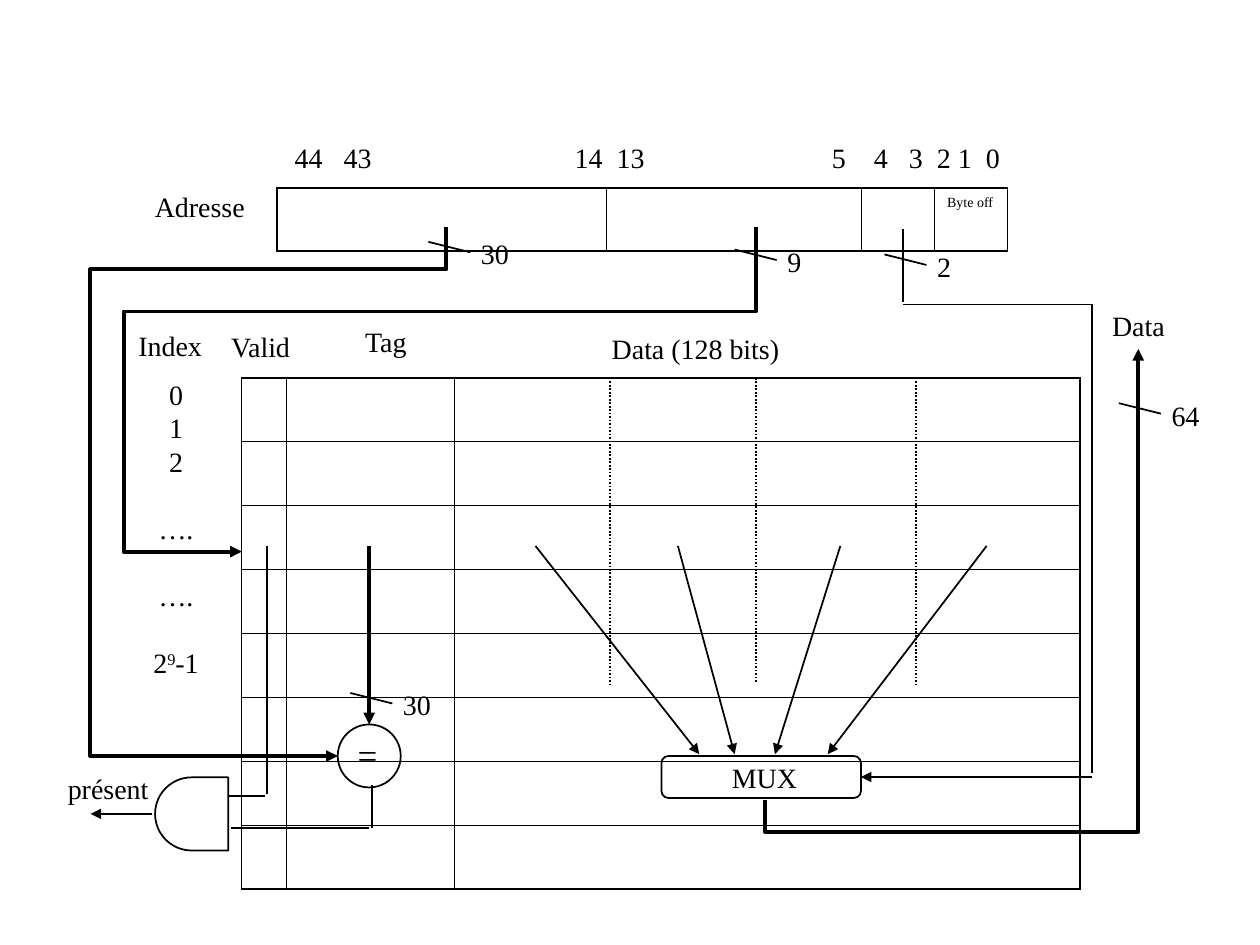
from dataclasses import dataclass

from lxml.etree import SubElement
from pptx import Presentation
from pptx.dml.color import RGBColor
from pptx.enum.dml import MSO_LINE
from pptx.enum.shapes import MSO_CONNECTOR, MSO_SHAPE
from pptx.enum.text import MSO_ANCHOR, MSO_AUTO_SIZE, PP_ALIGN
from pptx.oxml.ns import qn
from pptx.util import Pt


@dataclass(frozen=True)
class Theme:
    ink: str = "000000"
    font: str = "Times New Roman"
    label: float = 16
    symbol: float = 20
    small: float = 8
    thin: float = 1
    bus: float = 2.25
    frame: float = 1.08
    grid: float = 0.45


THEME = Theme()
INK = RGBColor.from_string(THEME.ink)
LABEL_H = 26.4


def set_values(obj, values):
    for name, value in values.items():
        setattr(obj, name, value)


# Text
def add_run(p, text, size=THEME.label):
    r = p.add_run()
    r.text = text
    set_values(r.font, {"name": THEME.font, "size": Pt(size)})
    r.font.color.rgb = INK
    return r


def add_box(s, x, y, w, h=LABEL_H):
    sp = s.shapes.add_textbox(Pt(x), Pt(y), Pt(w), Pt(h))
    set_values(sp.text_frame, {"word_wrap": False,
                               "auto_size": MSO_AUTO_SIZE.SHAPE_TO_FIT_TEXT})
    return sp.text_frame


def add_label(s, text, x, y, w, h=LABEL_H, size=THEME.label):
    add_run(add_box(s, x, y, w, h).paragraphs[0], text, size)


def add_bit_numbers(s):
    p = add_box(s, 161.3, 76.6, 424).paragraphs[0]
    tabs = SubElement(p._p.get_or_add_pPr(), qn("a:tabLst"))
    for stop in (28, 160, 184, 307, 331, 351, 367, 379, 395):
        SubElement(tabs, qn("a:tab"), pos=str(Pt(stop)), algn="l")
    add_run(p, "\t".join("44 43 14 13 5 4 3 2 1 0".split()))


def add_index_column(s):
    tf = add_box(s, 79.6, 212, 42, 180)
    gap = 19.2
    rows = [("0", 0), ("1", 0), ("2", 0), ("….", gap), ("….", gap), ("2", gap)]
    for i, (text, before) in enumerate(rows):
        p = tf.add_paragraph() if i else tf.paragraphs[0]
        set_values(p, {"alignment": PP_ALIGN.CENTER, "space_before": Pt(before)})
        add_run(p, text)
    add_run(p, "9").font._element.set("baseline", "30000")
    add_run(p, "-1")


# Tables
def set_borders(cell, widths):
    tcPr = cell._tc.get_or_add_tcPr()
    for i, (side, width) in enumerate(zip("LRTB", widths)):
        ln = SubElement(tcPr, qn(f"a:ln{side}"), w=str(Pt(width)))
        fill = SubElement(ln, qn("a:solidFill"))
        SubElement(fill, qn("a:srgbClr"), val=THEME.ink)
        tcPr.insert(i, ln)


def add_grid(s, x, y, cols, n_rows, row_h):
    frame = s.shapes.add_table(n_rows, len(cols), Pt(x), Pt(y),
                               Pt(sum(cols)), Pt(n_rows * row_h))
    table = frame.table
    set_values(table, {"first_row": False, "horz_banding": False})
    for col, width in zip(table.columns, cols):
        col.width = Pt(width)
    for i, row in enumerate(table.rows):
        row.height = Pt(row_h)
        for j, cell in enumerate(row.cells):
            cell.fill.background()
            cell.vertical_anchor = MSO_ANCHOR.TOP
            edges = (j == 0, j == len(cols) - 1, i == 0, i == n_rows - 1)
            set_borders(cell, [THEME.frame if e else THEME.grid for e in edges])
    return table


# Shapes and lines
def add_outline(s, kind, x, y, w, h):
    sp = s.shapes.add_shape(kind, Pt(x), Pt(y), Pt(w), Pt(h))
    sp.shadow.inherit = False
    sp.fill.background()
    sp.line.color.rgb = INK
    sp.line.width = Pt(THEME.thin)
    return sp


def style_line(sp, width, arrow):
    sp.line.color.rgb = INK
    sp.line.width = Pt(width)
    if arrow:
        SubElement(sp.line._get_or_add_ln(), qn("a:tailEnd"), type="triangle")
    SubElement(sp._element.spPr, qn("a:effectLst"))


def add_line(s, x1, y1, x2, y2, width=THEME.thin, arrow=False):
    sp = s.shapes.add_connector(MSO_CONNECTOR.STRAIGHT, Pt(x1), Pt(y1), Pt(x2), Pt(y2))
    style_line(sp, width, arrow)
    return sp


def add_bus(s, x1, y1, x2, y2, preset, adjusts, flips=()):
    """Elbow arrow that leaves its start vertically: a quarter-turned preset."""
    w, h = abs(y2 - y1), abs(x2 - x1)
    x, y = (x1 + x2 - w) / 2, (y1 + y2 - h) / 2
    sp = s.shapes.add_connector(MSO_CONNECTOR.ELBOW, Pt(x), Pt(y), Pt(x + w), Pt(y + h))
    spPr = sp._element.spPr
    spPr.xfrm.set("rot", "5400000")
    for flip in flips:
        spPr.xfrm.set(flip, "1")
    geom = spPr.find(qn("a:prstGeom"))
    geom.set("prst", preset)
    av = geom.find(qn("a:avLst"))
    if av is None:
        av = SubElement(geom, qn("a:avLst"))
    for i, value in enumerate(adjusts, 1):
        SubElement(av, qn("a:gd"), name=f"adj{i}", fmla=f"val {round(value * 100000)}")
    style_line(sp, THEME.bus, True)


def add_bus_width(s, bits, x, y, w=33):
    add_line(s, x, y, x + 24, y + 6)
    add_label(s, bits, x + 23, y - 6.4, w)


def main():
    prs = Presentation()
    prs.slide_width, prs.slide_height = Pt(720), Pt(540)
    s = prs.slides.add_slide(prs.slide_layouts[6])

    # Cache array with its headings
    add_grid(s, 138, 216, (25.9, 95.8, 357.5), 8, 36.5)
    for text, x, y, w in (("Valid", 125, 185, 53), ("Tag", 201.6, 182, 42),
                          ("Data (128 bits)", 342.5, 185.8, 114),
                          ("Index", 72, 184.3, 54), ("Adresse", 81.4, 104.8, 69),
                          ("Data", 628.4, 172.8, 48), ("présent", 31.7, 437.4, 64)):
        add_label(s, text, x, y, w)
    add_index_column(s)

    # Word boundaries inside the data column
    for x, y in ((348.5, 218), (432, 216), (523.4, 218)):
        add_line(s, x, y, x, y + 174.3).line.dash_style = MSO_LINE.ROUND_DOT

    # Address fields
    add_bit_numbers(s)
    fields = add_grid(s, 158.4, 107.5, (188, 145.8, 41.8, 41.8), 1, 36)
    add_run(fields.cell(0, 3).text_frame.paragraphs[0], "Byte off", THEME.small)

    # Tag comparison and presence signal
    comparator = add_outline(s, MSO_SHAPE.OVAL, 193, 414, 36, 36)
    add_label(s, "=", 197.3, 415.4, 28, 31.7, THEME.symbol)
    and_gate = add_outline(s, MSO_SHAPE.FLOWCHART_DELAY, 88.6, 444.2, 41.8, 41.8)
    and_gate._element.spPr.xfrm.set("flipH", "1")
    add_bus(s, 255, 129.8, 193, 432, "bentConnector4", (0.08, 3.28))
    add_line(s, 211, 312, 211, 414, THEME.bus, True).end_connect(comparator, 0)
    for points in ((131.8, 473, 211, 473), (212.4, 473, 212.4, 448.6),
                   (152.6, 312, 152.6, 453.6), (151.2, 455, 131, 455)):
        add_line(s, *points)
    add_line(s, 87.1, 465.1, 51.8, 465.1, arrow=True)

    # Row selection by index
    add_bus(s, 432, 129.8, 138.2, 315.2, "bentConnector4", (0.26, 1.23))

    # Word selection
    mux = add_outline(s, MSO_SHAPE.ROUNDED_RECTANGLE, 378, 432, 114, 24)
    add_label(s, "MUX", 411.1, 431, 55)
    for x1, x2 in ((306, 399.6), (387.4, 419.8), (480.2, 442.8), (563.8, 473)):
        add_line(s, x1, 312, x2, 431, arrow=True)
    for points in ((516.2, 131, 516.2, 172.8), (516.2, 174, 624.2, 174),
                   (624.2, 174, 624.2, 442)):
        add_line(s, *points)
    add_line(s, 624.2, 444, 492, 444, arrow=True).end_connect(mux, 3)
    add_bus(s, 437, 457.2, 650.5, 199.4, "bentConnector3", (-0.07,), ("flipH", "flipV"))

    # Bus widths
    for bits, x, y in (("30", 244.8, 138.2), ("64", 639.4, 230.4), ("30", 200.2, 396)):
        add_bus_width(s, bits, x, y)
    for bits, x, y in (("9", 419.8, 142.6), ("2", 505.4, 145.4)):
        add_bus_width(s, bits, x, y, 25)

    prs.save("out.pptx")


if __name__ == "__main__":
    main()
